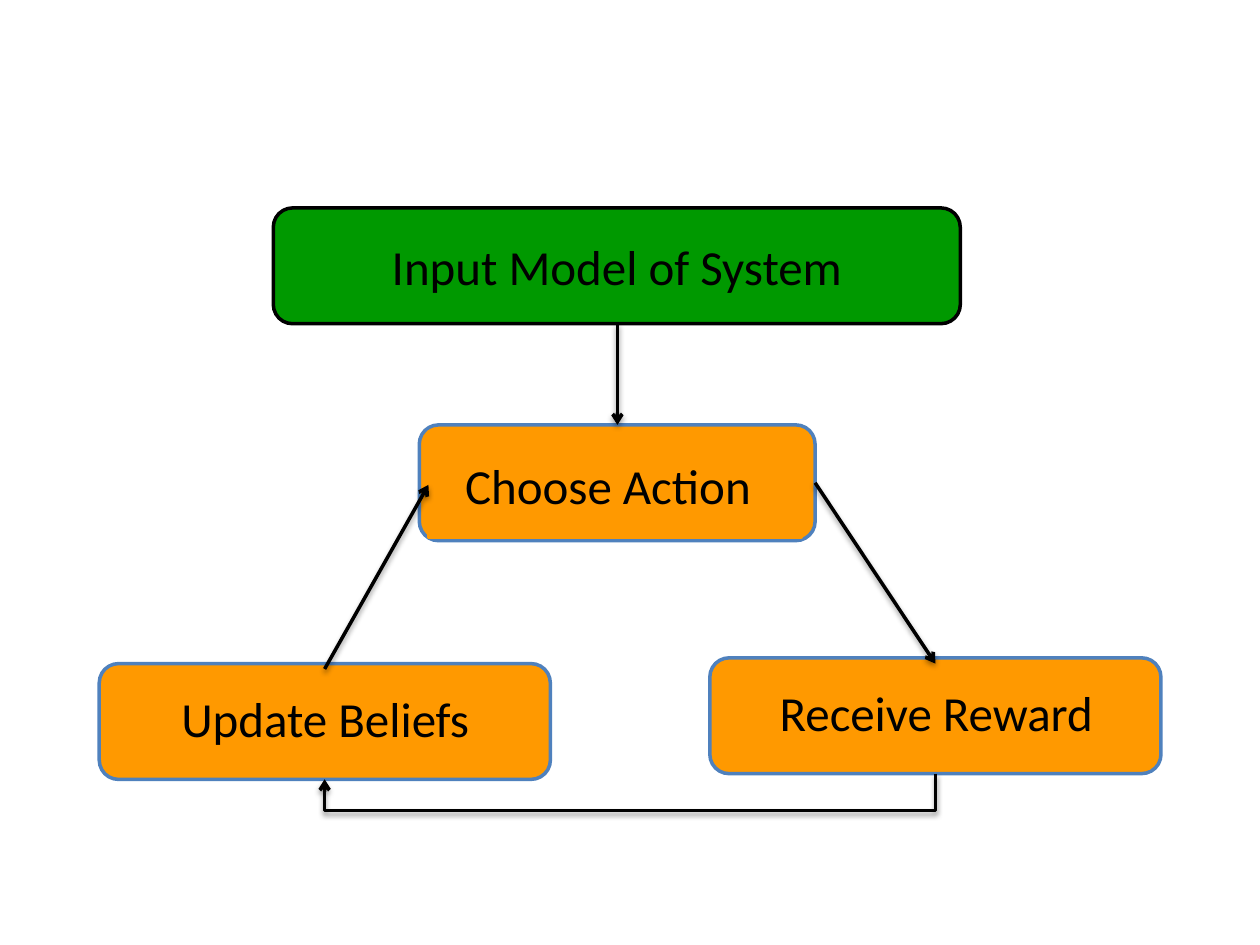
"""Build a decision loop diagram: model, action, reward and belief update."""
from lxml import etree
from pptx import Presentation
from pptx.dml.color import RGBColor
from pptx.enum import shapes, text
from pptx.oxml import ns
from pptx.util import Pt

BLACK = RGBColor(0x00, 0x00, 0x00)
GREEN = RGBColor(0x00, 0x99, 0x00)
ORANGE = RGBColor(0xFF, 0x99, 0x00)
BLUE = RGBColor(0x4F, 0x81, 0xBD)
FONT = "Calibri"
STEP_HEIGHT = 66.2
LABEL_HEIGHT = 59.8


def add_box(parent, preset, bounds, fill, outline):
    box = parent.add_shape(preset, *map(Pt, bounds))
    box.shadow.inherit = False
    box.fill.solid()
    box.fill.fore_color.rgb = fill
    box.line.color.rgb = outline
    box.line.width = Pt(2)
    return box


def write_label(box, wording, inset=None):
    frame = box.text_frame
    frame.word_wrap = True
    frame.vertical_anchor = text.MSO_ANCHOR.MIDDLE
    frame.text = wording
    label = frame.paragraphs[0]
    label.alignment = text.PP_ALIGN.CENTER
    if inset:
        frame.margin_left = frame.margin_right = Pt(inset)
        frame.margin_top = frame.margin_bottom = Pt(inset)
        label.line_spacing = 0.9
    style_run(label.runs[0], 28)
    return label


def style_run(run, size):
    run.font.name = FONT
    run.font.size = Pt(size)
    run.font.color.rgb = BLACK


def add_step(slide, wording, frame_bounds, label_bounds):
    step = slide.shapes.add_group_shape().shapes
    add_box(step, shapes.MSO_SHAPE.ROUNDED_RECTANGLE,
            (*frame_bounds, STEP_HEIGHT), ORANGE, BLUE)
    panel = add_box(step, shapes.MSO_SHAPE.RECTANGLE,
                    (*label_bounds, LABEL_HEIGHT), ORANGE, ORANGE)
    return write_label(panel, wording, 10.8)


def add_arrow(slide, start, end, kind=shapes.MSO_CONNECTOR.STRAIGHT):
    arrow = slide.shapes.add_connector(kind, *map(Pt, (*start, *end)))
    arrow.line.color.rgb = BLACK
    arrow.line.width = Pt(2)
    etree.SubElement(arrow.line._get_or_add_ln(), ns.qn("a:tailEnd"), type="arrow")
    effects = etree.SubElement(arrow._element.spPr, ns.qn("a:effectLst"))
    shadow = etree.SubElement(effects, ns.qn("a:outerShdw"), blurRad="40000",
                              dist="20000", dir="5400000", rotWithShape="0")
    shade = etree.SubElement(shadow, ns.qn("a:srgbClr"), val=str(BLACK))
    etree.SubElement(shade, ns.qn("a:alpha"), val="38000")
    return arrow


def add_return_arrow(slide, start, end, bend):
    (x1, y1), (x2, y2) = start, end
    middle_x, middle_y = (x1 + x2) / 2, (y1 + y2) / 2
    half_drop, half_span = (y2 - y1) / 2, (x1 - x2) / 2
    arrow = add_arrow(slide, (middle_x - half_drop, middle_y - half_span),
                      (middle_x + half_drop, middle_y + half_span),
                      shapes.MSO_CONNECTOR.ELBOW)
    properties = arrow._element.spPr
    properties.find(ns.qn("a:xfrm")).set("rot", "5400000")
    geometry = properties.find(ns.qn("a:prstGeom"))
    guides = geometry.find(ns.qn("a:avLst"))
    if guides is None:
        guides = etree.SubElement(geometry, ns.qn("a:avLst"))
    ratio = round(bend / (y2 - y1) * 100000)
    etree.SubElement(guides, ns.qn("a:gd"), name="adj1", fmla=f"val {ratio}")


def main():
    deck = Presentation()
    deck.slide_width, deck.slide_height = Pt(720), Pt(540)
    slide = deck.slides.add_slide(deck.slide_layouts[6])

    model = add_box(slide.shapes, shapes.MSO_SHAPE.ROUNDED_RECTANGLE,
                    (156.2, 118.8, 392.6, STEP_HEIGHT), GREEN, BLACK)
    write_label(model, "Input Model of System")

    action = add_step(slide, "Choose Action", (239.6, 242.8, 226.2), (244.8, 247, 213.1))
    spacer = action.add_run()
    spacer.text = " "
    style_run(spacer, 35)
    add_arrow(slide, (352.8, 185), (352.8, 242.8))

    add_step(slide, "Update Beliefs", (56.7, 379.2, 257.8), (64.1, 382.3, 243.4))
    add_step(slide, "Receive Reward", (405.6, 375.9, 257.8), (413.3, 379.2, 243.4))

    add_return_arrow(slide, (534.5, 442.1), (185.5, 445.3), 21)
    add_arrow(slide, (185.5, 382.3), (244.8, 277.1))
    add_arrow(slide, (465.8, 275.9), (534.5, 379.2))
    deck.save("out.pptx")


if __name__ == "__main__":
    main()
